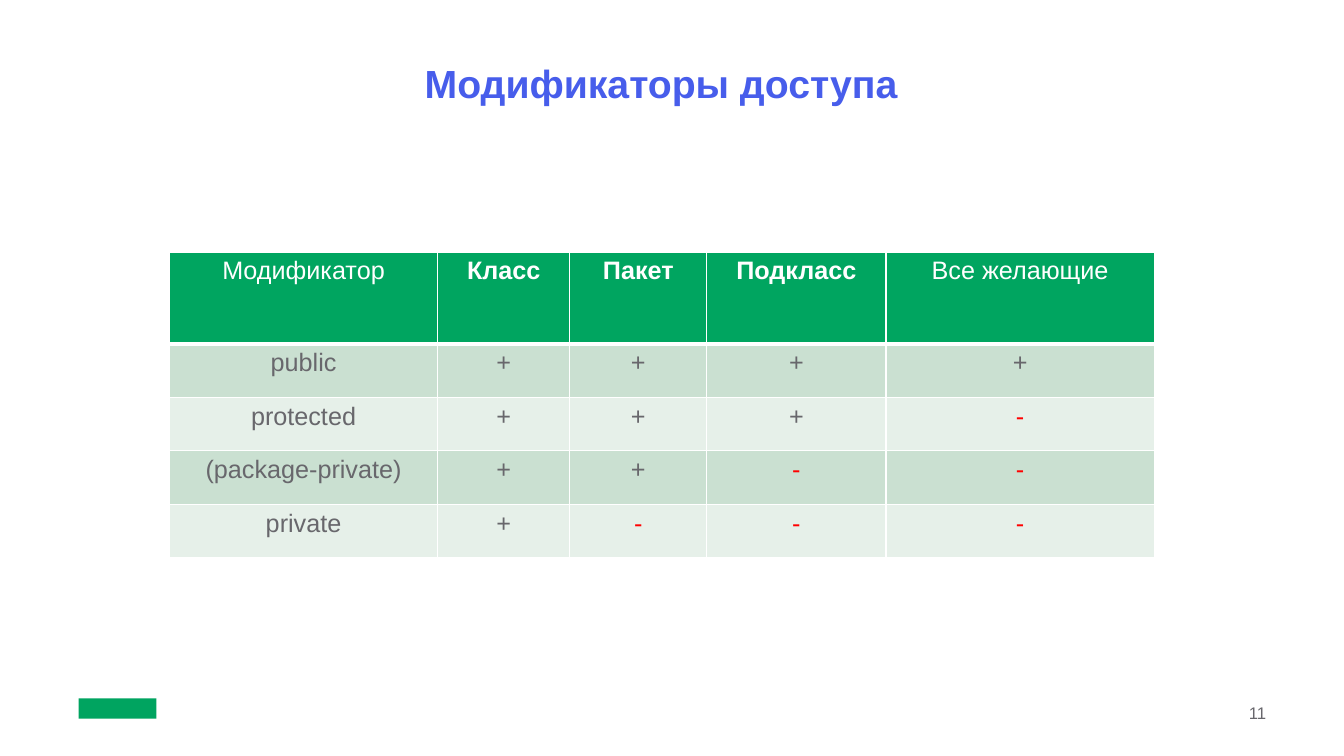
from dataclasses import dataclass

from lxml.etree import SubElement
from pptx import Presentation
from pptx.dml.color import RGBColor
from pptx.enum.shapes import MSO_SHAPE
from pptx.enum.text import MSO_ANCHOR, PP_ALIGN
from pptx.oxml.ns import qn
from pptx.util import Cm, Pt


@dataclass(frozen=True)
class Theme:
    font: str = "Arial"
    title_color: str = "475DEB"
    text_color: str = "68676C"
    denied_color: str = "FF0000"
    white: str = "FFFFFF"
    logo_fill: str = "00A460"
    header_fill: str = "00A560"
    band_fills: tuple = ("CAE0D1", "E6F0E9")
    title_size: int = 28
    table_size: int = 18
    number_size: int = 12
    thin_border: int = 1
    thick_border: int = 3


HEADERS = ["Модификатор", "Класс", "Пакет", "Подкласс", "Все желающие"]
BOLD_HEADERS = {"Класс", "Пакет", "Подкласс"}
ACCESS_ROWS = [
    ["public", "+", "+", "+", "+"],
    ["protected", "+", "+", "+", "-"],
    ["(package-private)", "+", "+", "-", "-"],
    ["private", "+", "-", "-", "-"],
]
COLUMN_WIDTHS = [6.76, 3.33, 3.45, 4.52, 6.76]
HEADER_HEIGHT, ROW_HEIGHT = 2.31, 1.35


def write_text(text_frame, text, *, font, size, color, bold=False,
               align=PP_ALIGN.CENTER, line_spacing=None):
    paragraph = text_frame.paragraphs[0]
    paragraph.alignment = align
    paragraph.line_spacing = line_spacing
    run = paragraph.add_run()
    run.text = text
    run.font.name = font
    run.font.size = Pt(size)
    run.font.bold = bold
    run.font.color.rgb = RGBColor.from_string(color)


def set_borders(cell, color, widths):
    """Draw cell borders; widths maps lnL, lnR, lnT and lnB, in that order, to points."""
    properties = cell._tc.get_or_add_tcPr()
    for position, (side, width) in enumerate(widths.items()):
        line = SubElement(properties, qn(f"a:{side}"), w=str(Pt(width)))
        fill = SubElement(line, qn("a:solidFill"))
        SubElement(fill, qn("a:srgbClr"), val=color)
        properties.insert(position, line)


class SlideBuilder:
    def __init__(self, slide, theme):
        self.slide = slide
        self.theme = theme

    def add_text(self, text, left, top, width, height, *, margins=(0, 0),
                 anchor=MSO_ANCHOR.TOP, **text_format):
        shape = self.slide.shapes.add_textbox(Cm(left), Cm(top), Cm(width), Cm(height))
        frame = shape.text_frame
        frame.word_wrap = True
        frame.vertical_anchor = anchor
        frame.margin_left = frame.margin_right = Cm(margins[0])
        frame.margin_top = frame.margin_bottom = Cm(margins[1])
        write_text(frame, text, font=self.theme.font, **text_format)

    def add_logo_block(self, left, top, width, height):
        shape = self.slide.shapes.add_shape(
            MSO_SHAPE.RECTANGLE, Cm(left), Cm(top), Cm(width), Cm(height))
        shape.shadow.inherit = False
        shape.fill.solid()
        shape.fill.fore_color.rgb = RGBColor.from_string(self.theme.logo_fill)
        shape.line.fill.background()

    def add_access_table(self, left, top):
        rows = [HEADERS, *ACCESS_ROWS]
        heights = [HEADER_HEIGHT] + [ROW_HEIGHT] * len(ACCESS_ROWS)
        table = self.slide.shapes.add_table(
            len(rows), len(HEADERS), Cm(left), Cm(top),
            Cm(sum(COLUMN_WIDTHS)), Cm(sum(heights))).table
        for column, width in zip(table.columns, COLUMN_WIDTHS):
            column.width = Cm(width)
        for row, height in zip(table.rows, heights):
            row.height = Cm(height)
        for row_index, texts in enumerate(rows):
            for column_index, text in enumerate(texts):
                self.format_cell(table.cell(row_index, column_index), text, row_index)

    def format_cell(self, cell, text, row_index):
        theme = self.theme
        if row_index == 0:
            fill, color = theme.header_fill, theme.white
        else:
            fill = theme.band_fills[(row_index - 1) % 2]
            color = theme.denied_color if text == "-" else theme.text_color
        cell.fill.solid()
        cell.fill.fore_color.rgb = RGBColor.from_string(fill)
        thin, thick = theme.thin_border, theme.thick_border
        set_borders(cell, theme.white, {
            "lnL": thin,
            "lnR": thin,
            "lnT": thick if row_index == 1 else thin,
            "lnB": thick if row_index == 0 else thin,
        })
        write_text(cell.text_frame, text, font=theme.font, size=theme.table_size,
                   color=color, bold=text in BOLD_HEADERS)


def main():
    presentation = Presentation()
    presentation.slide_width = Cm(33.87)
    presentation.slide_height = Cm(19.05)
    theme = Theme()
    builder = SlideBuilder(
        presentation.slides.add_slide(presentation.slide_layouts[6]), theme)

    builder.add_logo_block(1.98, 17.6, 1.96, 0.51)
    builder.add_text("11", 24.79, 17.68, 7.37, 0.56, margins=(0.25, 0.13),
                     anchor=MSO_ANCHOR.MIDDLE, size=theme.number_size,
                     color=theme.text_color, align=PP_ALIGN.RIGHT)
    builder.add_text("Модификаторы доступа", 1.98, 1.63, 29.36, 1.07,
                     size=theme.title_size, color=theme.title_color,
                     bold=True, line_spacing=0.9)
    builder.add_access_table(4.27, 6.35)
    presentation.save("out.pptx")


if __name__ == "__main__":
    main()
